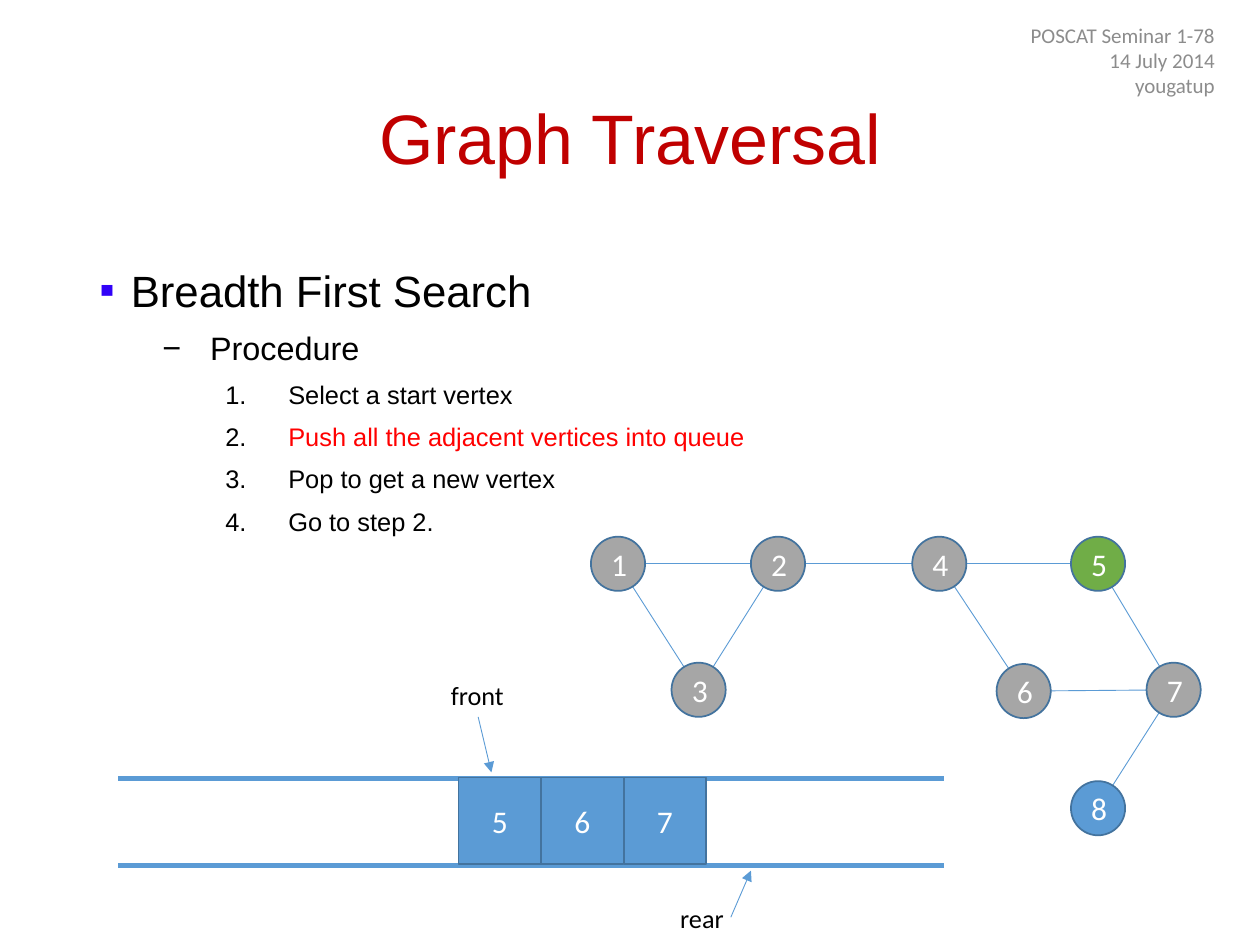
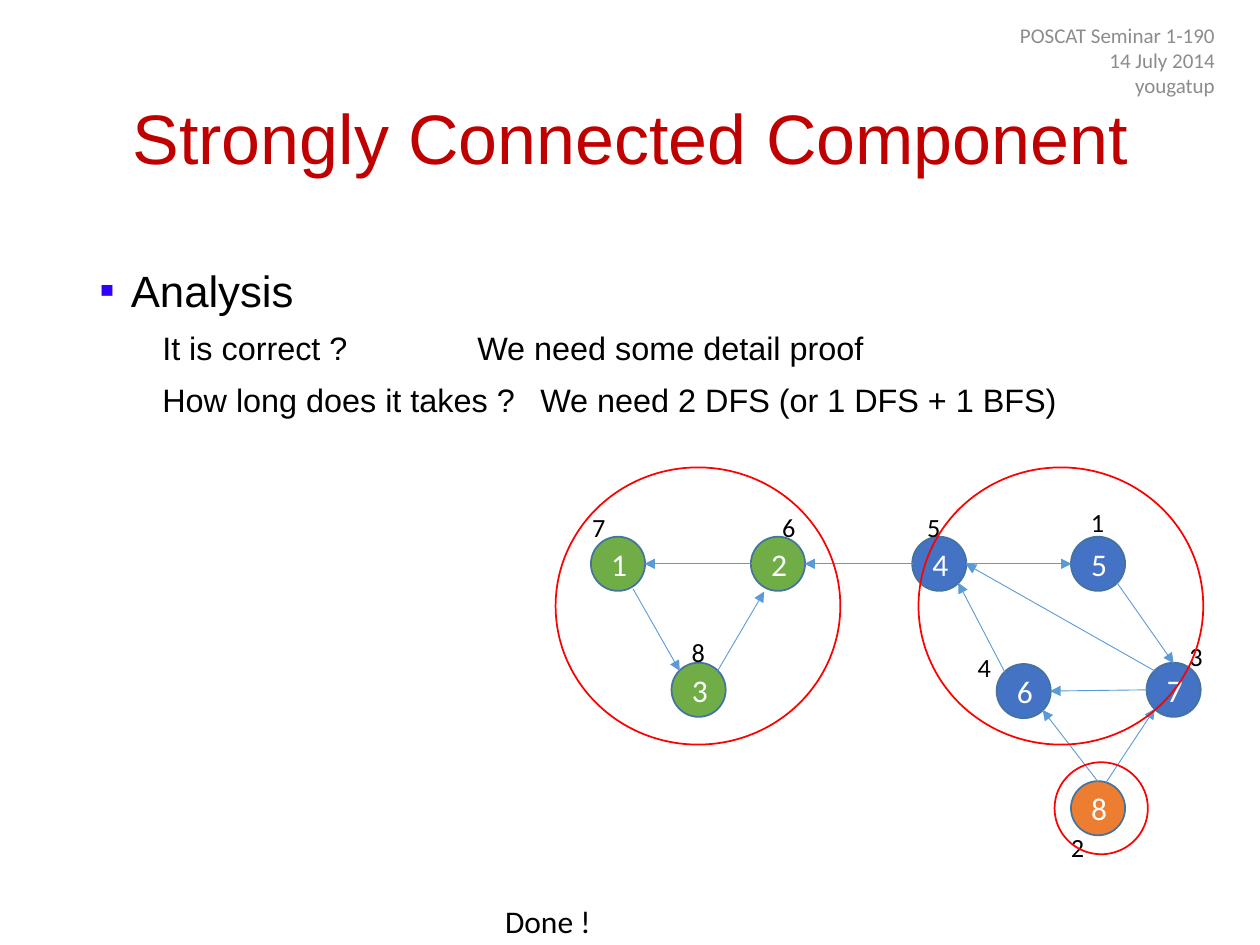
"""Build two seminar slides about graph traversal and strongly connected components."""
from lxml import etree
from pptx import Presentation
from pptx.dml.color import RGBColor
from pptx.enum import shapes, text
from pptx.oxml import ns
from pptx.util import Inches, Pt

BLACK = RGBColor(0x00, 0x00, 0x00)
WHITE = RGBColor(0xFF, 0xFF, 0xFF)
TITLE_RED = RGBColor(0xC0, 0x00, 0x00)
RED = RGBColor(0xFF, 0x00, 0x00)
HEADER_GREY = RGBColor(0x8C, 0x8C, 0x8C)
NODE_GREY = RGBColor(0xA6, 0xA6, 0xA6)
GREEN = RGBColor(0x70, 0xAD, 0x47)
BLUE = RGBColor(0x5B, 0x9B, 0xD5)
DARK_BLUE = RGBColor(0x44, 0x72, 0xC4)
ORANGE = RGBColor(0xED, 0x7D, 0x31)
OUTLINE = RGBColor(0x43, 0x73, 0x9E)
BULLET_BLUE = RGBColor(0x31, 0x02, 0xF8)

HEADER = ["14 July 2014", "yougatup"]
LEVELS = {
    "topic": dict(size=25, before=10, margin=0.25, indent=-0.25, bullet="▪", tint=BULLET_BLUE),
    "dash": dict(size=18.5, before=5, margin=0.88, indent=-0.38, bullet="−", tint=BLACK),
    "plain": dict(size=18.5, before=5, margin=0.5, indent=0, bullet=None, tint=BLACK),
    "step": dict(size=14.5, before=5, margin=1.5, indent=-0.5, bullet="1.", tint=BLACK),
}
TRAVERSAL = [
    ("topic", "Breadth First Search", BLACK),
    ("dash", "Procedure", BLACK),
    ("step", "Select a start vertex", BLACK),
    ("step", "Push all the adjacent vertices into queue", RED),
    ("step", "Pop to get a new vertex", BLACK),
    ("step", "Go to step 2.", BLACK),
]
ANALYSIS = [
    ("topic", "Analysis", BLACK),
    ("plain", "It is correct ? \t\tWe need some detail proof", BLACK),
    ("plain", "How long does it takes ?\tWe need 2 DFS (or 1 DFS + 1 BFS)", BLACK),
]

NODE_SIZE = 0.43
NODES = {1: (4.69, 4.26), 2: (5.96, 4.26), 3: (5.33, 5.26), 4: (7.24, 4.26),
         6: (7.91, 5.27), 5: (8.5, 4.26), 7: (9.1, 5.26), 8: (8.5, 6.2)}
VISIT_COLORS = {**dict.fromkeys(NODES, NODE_GREY), 5: GREEN, 8: BLUE}
COMPONENT_COLORS = {**dict.fromkeys((1, 2, 3), GREEN),
                    **dict.fromkeys((4, 5, 6, 7), DARK_BLUE), 8: ORANGE}
EDGES = [(1, 2), (1, 3), (3, 2), (2, 4), (4, 5), (4, 6), (6, 7), (5, 7), (7, 8)]
SITES = {"C": (0, 0), "N": (0, -0.21), "E": (0.21, 0), "W": (-0.21, 0),
         "NW": (-0.15, -0.15), "NE": (0.15, -0.15), "SW": (-0.15, 0.15),
         "SE": (0.15, 0.15), "SSW": (-0.11, 0.22), "SSE": (0.12, 0.2), "NNE": (0.06, -0.2)}
ARCS = [(3, "NE", 2, "SSW"), (2, "W", 1, "E"), (1, "SSE", 3, "NW"), (4, "W", 2, "E"),
        (6, "NW", 4, "SE"), (7, "NW", 4, "E"), (7, "W", 6, "E"), (5, "SE", 7, "N"),
        (4, "E", 5, "W"), (8, "N", 6, "SE"), (8, "NNE", 7, "SW")]
FINISH_ORDER = [(8.56, 3.97), (8.4, 6.55), (9.34, 5.03), (7.66, 5.12),
                (7.26, 4.01), (6.11, 4.01), (4.6, 4.01), (5.39, 5)]
COMPONENT_RINGS = [(4.41, 3.71, 2.26, 2.2), (7.29, 3.71, 2.26, 2.2), (8.37, 6.05, 0.74, 0.73)]

QUEUE = ["5", "6", "7"]
QUEUE_LEFT, QUEUE_TOP, CELL_PITCH, CELL_HEIGHT = 3.64, 6.17, 0.655, 0.69
RAIL_LEFT, RAIL_RIGHT, RAILS = 0.94, 7.49, (6.18, 6.87)


def assign(target, values):
    for name, value in values.items():
        setattr(target, name, value)


def add_span(para, words, size, color, font="Calibri"):
    span = para.add_run()
    span.text = words
    assign(span.font, dict(name=font, size=Pt(size)))
    span.font.color.rgb = color


def add_box(page, place, lines, size, color, font="Calibri", frame=None, para_format=None):
    box = page.shapes.add_textbox(*map(Inches, place))
    assign(box.text_frame, {"word_wrap": True, **(frame or {})})
    for index, words in enumerate(lines):
        para = box.text_frame.add_paragraph() if index else box.text_frame.paragraphs[0]
        assign(para, para_format or {})
        add_span(para, words, size, color, font)
    return box


def add_label(page, place, words, size=15):
    frame = dict(word_wrap=False, auto_size=text.MSO_AUTO_SIZE.SHAPE_TO_FIT_TEXT)
    return add_box(page, place, [words], size, BLACK, frame=frame)


def add_figure(page, kind, place, fill=None, line=OUTLINE, words=None):
    figure = page.shapes.add_shape(kind, *map(Inches, place))
    figure.shadow.inherit = False
    if fill is None:
        figure.fill.background()
    else:
        figure.fill.solid()
        figure.fill.fore_color.rgb = fill
    figure.line.color.rgb = line
    figure.line.width = Pt(1)
    if words:
        figure.text_frame.vertical_anchor = text.MSO_ANCHOR.MIDDLE
        para = figure.text_frame.paragraphs[0]
        para.alignment = text.PP_ALIGN.CENTER
        add_span(para, words, 18, WHITE)


def add_line(page, start, end, width=0.5, arrow=False):
    line = page.shapes.add_connector(shapes.MSO_CONNECTOR.STRAIGHT, *map(Inches, (*start, *end)))
    line.line.color.rgb = BLUE
    line.line.width = Pt(width)
    if arrow:
        etree.SubElement(line.line._get_or_add_ln(), ns.qn("a:tailEnd"), type="triangle")
    etree.SubElement(line._element.spPr, ns.qn("a:effectLst"))
    return line


def set_bullet(para, level):
    props = para._p.get_or_add_pPr()
    for name in ("margin", "indent"):
        props.set({"margin": "marL"}.get(name, name), str(Inches(level[name])))
    bullet = level["bullet"]
    if bullet is None:
        etree.SubElement(props, ns.qn("a:buNone"))
        return
    tint = etree.SubElement(props, ns.qn("a:buClr"))
    etree.SubElement(tint, ns.qn("a:srgbClr"), val=str(level["tint"]))
    etree.SubElement(props, ns.qn("a:buFont"), typeface="Arial")
    if bullet == "1.":
        etree.SubElement(props, ns.qn("a:buAutoNum"), type="arabicPeriod")
    else:
        etree.SubElement(props, ns.qn("a:buChar"), char=bullet)


def add_outline(page, items):
    box = page.shapes.add_textbox(*map(Inches, (0.69, 2, 9.13, 4.76)))
    box.text_frame.word_wrap = True
    for index, (kind, words, color) in enumerate(items):
        level = LEVELS[kind]
        para = box.text_frame.add_paragraph() if index else box.text_frame.paragraphs[0]
        assign(para, dict(line_spacing=1.1, space_before=Pt(level["before"])))
        set_bullet(para, level)
        add_span(para, words, level["size"], color, "Arial")


def add_page(deck, title, number, items):
    page = deck.slides.add_slide(deck.slide_layouts[6])
    middle = dict(vertical_anchor=text.MSO_ANCHOR.MIDDLE)
    add_box(page, (0.69, 0.4, 8.62, 1.45), [title], 40, TITLE_RED, "Arial", middle,
            dict(alignment=text.PP_ALIGN.CENTER, line_spacing=0.9))
    add_outline(page, items)
    add_box(page, (7.49, 0.2, 2.25, 0.55), [f"POSCAT Seminar 1-{number}", *HEADER], 12,
            HEADER_GREY, frame=middle, para_format=dict(alignment=text.PP_ALIGN.RIGHT))
    return page


def node_point(node, site="C"):
    return tuple(corner + NODE_SIZE / 2 + shift
                 for corner, shift in zip(NODES[node], SITES[site]))


def add_nodes(page, colors):
    for node, corner in NODES.items():
        add_figure(page, shapes.MSO_SHAPE.OVAL, (*corner, NODE_SIZE, NODE_SIZE),
                   colors[node], words=str(node))


def add_queue(page):
    for height in RAILS:
        add_line(page, (RAIL_LEFT, height), (RAIL_RIGHT, height), width=3)
    front = add_label(page, (3.48, 5.34, 0.63, 0.35), "front")
    add_line(page, (3.8, 5.69), (3.9, 6.13), arrow=True).begin_connect(front, 2)
    add_label(page, (5.3, 7.11, 0.55, 0.35), "rear")
    add_line(page, (5.8, 7.28), (5.96, 6.91), arrow=True)
    for index, words in enumerate(QUEUE):
        place = (QUEUE_LEFT + index * CELL_PITCH, QUEUE_TOP, CELL_PITCH, CELL_HEIGHT)
        add_figure(page, shapes.MSO_SHAPE.RECTANGLE, place, BLUE, words=words)


def build_traversal(deck):
    page = add_page(deck, "Graph Traversal", 78, TRAVERSAL)
    for start, end in EDGES:
        add_line(page, node_point(start), node_point(end))
    add_nodes(page, VISIT_COLORS)
    add_queue(page)


def build_components(deck):
    page = add_page(deck, "Strongly Connected Component", 190, ANALYSIS)
    add_nodes(page, COMPONENT_COLORS)
    for start, leaving, end, entering in ARCS:
        add_line(page, node_point(start, leaving), node_point(end, entering), arrow=True)
    for order, corner in enumerate(FINISH_ORDER, 1):
        add_label(page, (*corner, 0.31, 0.35), str(order))
    for place in COMPONENT_RINGS:
        add_figure(page, shapes.MSO_SHAPE.OVAL, place, line=RED)
    add_label(page, (3.91, 7.11, 0.89, 0.4), "Done !", 18)


def main():
    deck = Presentation()
    assign(deck, dict(slide_width=Inches(10), slide_height=Inches(7.5)))
    build_traversal(deck)
    build_components(deck)
    deck.save("out.pptx")


if __name__ == "__main__":
    main()
